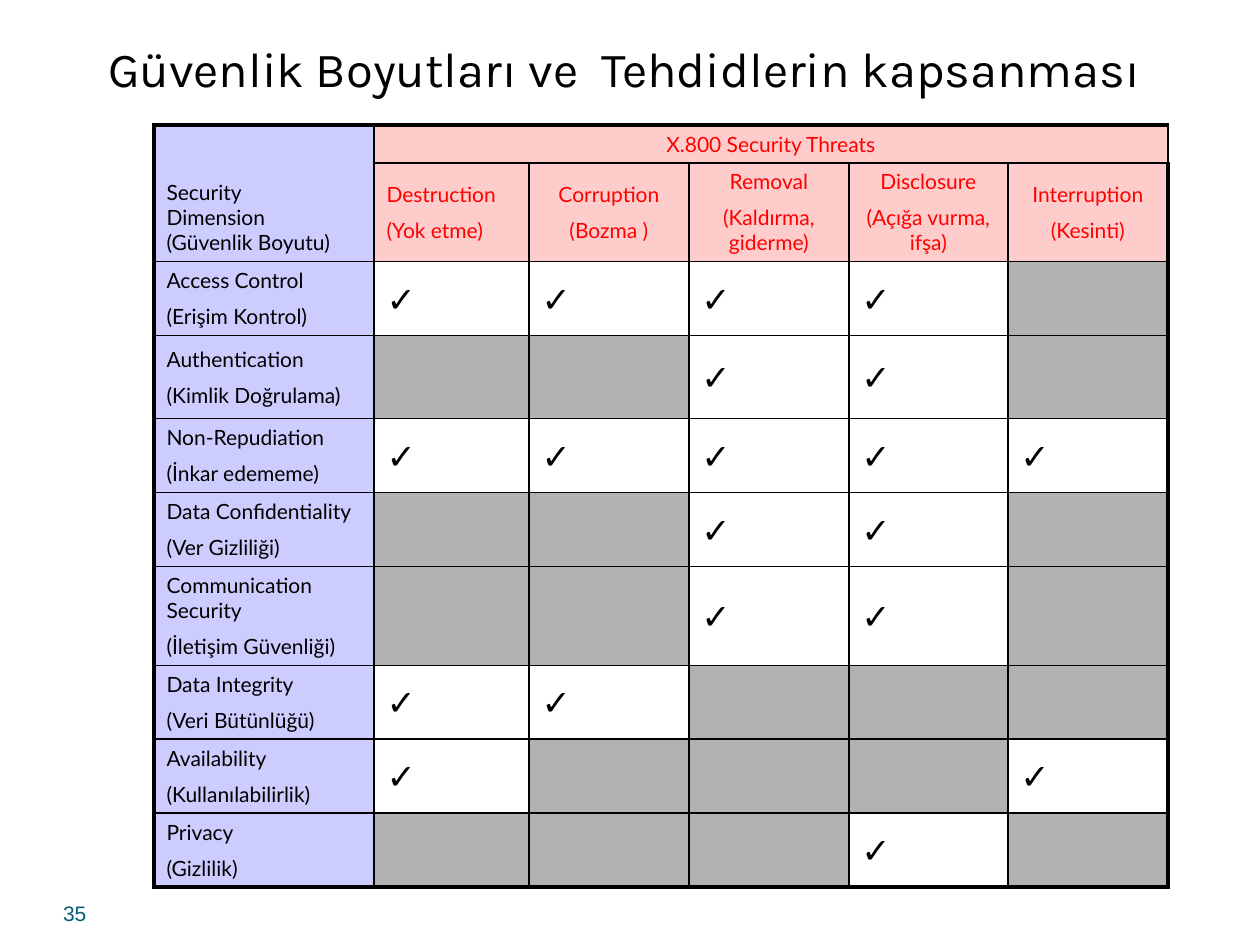
import pptx
import pptx.util
import pptx.dml.color
import pptx.enum.text
import pptx.oxml
import pptx.oxml.ns

RGB = pptx.dml.color.RGBColor
ALIGN = pptx.enum.text.PP_ALIGN
ANCHOR = pptx.enum.text.MSO_ANCHOR

BLACK = RGB(0x00, 0x00, 0x00)
RED = RGB(0xFF, 0x00, 0x00)
TEAL = RGB(0x04, 0x5D, 0x75)
LAVENDER = RGB(0xCC, 0xCC, 0xFF)
PINK = RGB(0xFF, 0xCC, 0xCC)
GRAY = RGB(0xB2, 0xB2, 0xB2)

COL_WIDTHS = [220, 155, 160, 160, 159, 160]
ROW_HEIGHTS = [35, 35, 74, 83, 74, 74, 74, 74, 74, 74]
THREATS = [
    "Destruction\n(Yok etme)",
    "Corruption\n(Bozma )",
    "Removal\n(Kaldırma, giderme)",
    "Disclosure\n(Açığa vurma, ifşa)",
    "Interruption\n(Kesinti)",
]
DIMENSIONS = [
    ("Access Control\n(Erişim Kontrol)", "✓✓✓✓-"),
    ("Authentication\n(Kimlik Doğrulama)", "--✓✓-"),
    ("Non-Repudiation\n(İnkar edememe)", "✓✓✓✓✓"),
    ("Data Confidentiality\n(Ver Gizliliği)", "--✓✓-"),
    ("Communication Security\n(İletişim Güvenliği)", "--✓✓-"),
    ("Data Integrity\n(Veri Bütünlüğü)", "✓✓---"),
    ("Availability\n(Kullanılabilirlik)", "✓---✓"),
    ("Privacy\n(Gizlilik)", "---✓-"),
]


def px(n):
    return pptx.util.Emu(round(n * 914400 / 126))


def write(tf, text, size=12, font="Lato", color=BLACK, bold=False,
          align=ALIGN.LEFT, before=0.0, first_only=False, leading=None):
    tf.text = text
    for i, p in enumerate(tf.paragraphs):
        p.alignment = align
        spaced = i == 0 or not first_only
        p.space_before = pptx.util.Pt(size * before if spaced else 0)
        if leading:
            p.line_spacing = pptx.util.Pt(leading)
        for r in p.runs:
            r.font.size = pptx.util.Pt(size)
            r.font.name = font
            r.font.bold = bold
            r.font.color.rgb = color


class Deck:
    """Holds the presentation style and the current slide."""

    def __init__(self, width, height):
        self.prs = pptx.Presentation()
        self.prs.slide_width, self.prs.slide_height = px(width), px(height)
        self.s = self.prs.slides.add_slide(self.prs.slide_layouts[6])

    def text(self, x, y, w, h, text, anchor, **fmt):
        tf = self.s.shapes.add_textbox(px(x), px(y), px(w), px(h)).text_frame
        tf.word_wrap = True
        tf.vertical_anchor = anchor
        tf.margin_left = tf.margin_right = tf.margin_top = tf.margin_bottom = 0
        write(tf, text, **fmt)

    def table(self, x, y, h, widths, heights):
        sp = self.s.shapes.add_table(len(heights), len(widths), px(x), px(y),
                                     px(sum(widths)), px(h))
        tbl = sp.table
        tbl.first_row = tbl.horz_banding = False
        for col, w in zip(tbl.columns, widths):
            col.width = px(w)
        for row, rh in zip(tbl.rows, heights):
            row.height = px(rh)
        sp.height = px(h)
        return tbl

    def cell(self, cell, text="", fill=None, anchor=ANCHOR.MIDDLE, **fmt):
        if fill is None:
            cell.fill.background()
        else:
            cell.fill.solid()
            cell.fill.fore_color.rgb = fill
        if text:
            cell.vertical_anchor = anchor
            write(cell.text_frame, text, before=0.5, **fmt)

    def borders(self, tbl, inner=1, outer=2.25):
        last_row, last_col = len(tbl.rows) - 1, len(tbl.columns) - 1
        for i in range(last_row + 1):
            for j in range(last_col + 1):
                edges = {"L": j == 0, "R": j == last_col,
                         "T": i == 0, "B": i == last_row}
                tc_pr = tbl.cell(i, j)._tc.get_or_add_tcPr()
                for k, (side, outside) in enumerate(edges.items()):
                    w = pptx.util.Pt(outer if outside else inner)
                    tc_pr.insert(k, pptx.oxml.parse_xml(
                        f'<a:ln{side} {pptx.oxml.ns.nsdecls("a")} w="{w}">'
                        f'<a:solidFill><a:srgbClr val="{BLACK}"/></a:solidFill>'
                        f'</a:ln{side}>'))


def main():
    deck = Deck(1260, 945)
    deck.text(63, 876, 294, 50, "35", ANCHOR.BOTTOM, font="Arial", color=TEAL)
    deck.text(44, 32, 1160, 74, "Güvenlik Boyutları ve  Tehdidlerin kapsanması",
              ANCHOR.MIDDLE, size=28, font="Karla", align=ALIGN.CENTER,
              before=0.2, leading=32)

    tbl = deck.table(154, 125, 776, COL_WIDTHS, ROW_HEIGHTS)
    tbl.cell(0, 0).merge(tbl.cell(1, 0))
    tbl.cell(0, 1).merge(tbl.cell(0, 5))
    deck.cell(tbl.cell(0, 0), "Security\nDimension\n(Güvenlik Boyutu)",
              LAVENDER, ANCHOR.BOTTOM, first_only=True)
    deck.cell(tbl.cell(0, 1), "X.800 Security Threats", PINK, ANCHOR.TOP,
              color=RED, align=ALIGN.CENTER)
    for j, threat in enumerate(THREATS, 1):
        deck.cell(tbl.cell(1, j), threat, PINK, color=RED,
                  align=ALIGN.LEFT if j == 1 else ALIGN.CENTER)
    for i, (dimension, marks) in enumerate(DIMENSIONS, 2):
        deck.cell(tbl.cell(i, 0), dimension, LAVENDER)
        for j, mark in enumerate(marks, 1):
            if mark == "✓":
                deck.cell(tbl.cell(i, j), mark, size=20, bold=True)
            else:
                deck.cell(tbl.cell(i, j), fill=GRAY)
    deck.borders(tbl)
    deck.prs.save("out.pptx")


if __name__ == "__main__":
    main()
